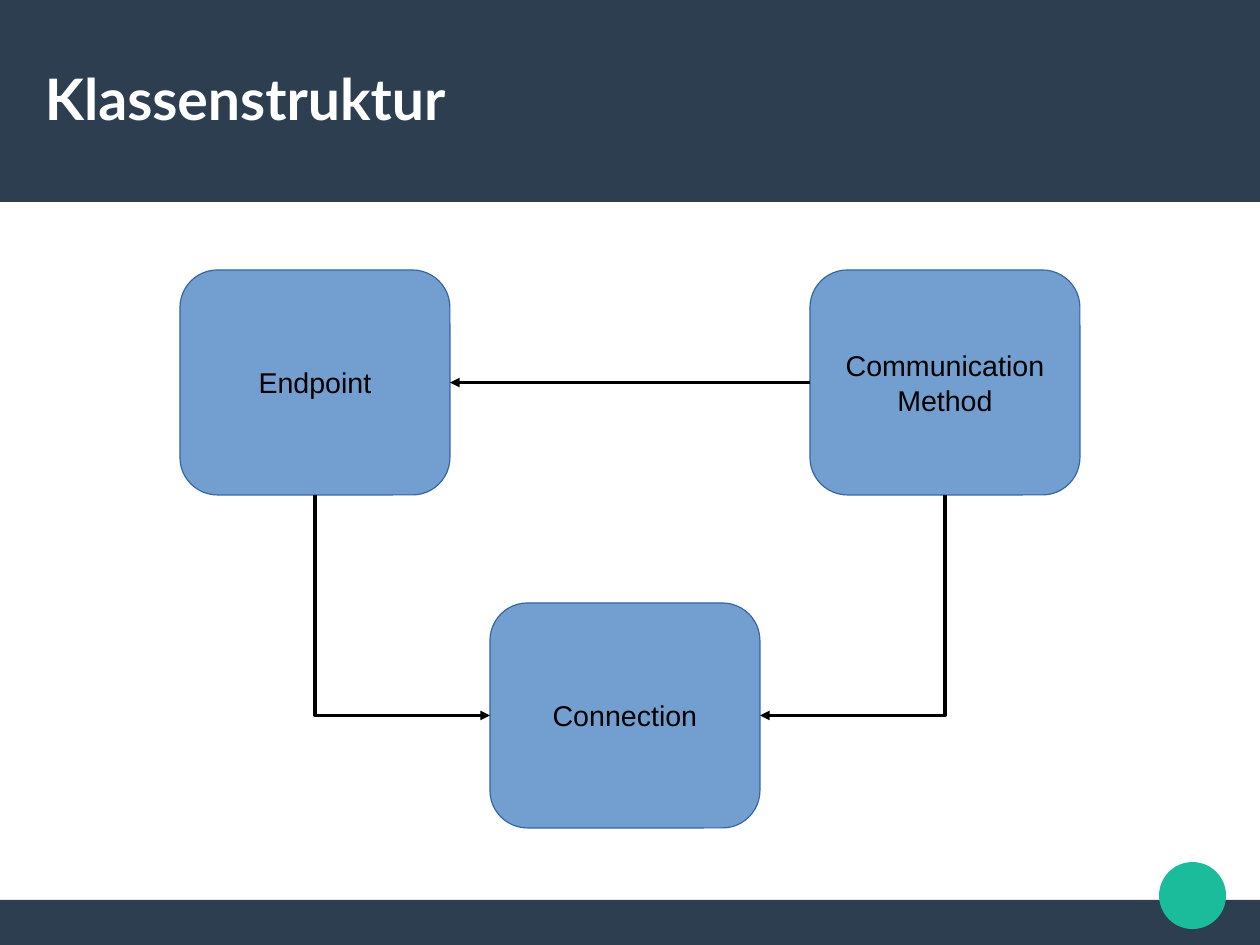
"""Build the "Klassenstruktur" slide: three classes and the arrows between them."""
from lxml import etree
from pptx import Presentation
from pptx.dml.color import RGBColor
from pptx.enum.shapes import MSO_CONNECTOR, MSO_SHAPE
from pptx.enum.text import MSO_ANCHOR, PP_ALIGN
from pptx.oxml.ns import qn
from pptx.util import Pt

RECTANGLE, OVAL = MSO_SHAPE.RECTANGLE, MSO_SHAPE.OVAL
CLASS_BOX = MSO_SHAPE.FLOWCHART_ALTERNATE_PROCESS
STRAIGHT, ELBOW = MSO_CONNECTOR.STRAIGHT, MSO_CONNECTOR.ELBOW
MIDDLE, CENTER = MSO_ANCHOR.MIDDLE, PP_ALIGN.CENTER
LEFT, BOTTOM, RIGHT = 1, 2, 3
PX = 8000
WIDTH, HEIGHT = 1260, 945
COLORS = {"navy": "2C3E50", "teal": "1ABC9C", "box": "729FCF",
          "border": "3465A4", "text": "000000", "title": "FFFFFF"}


def color(name):
    return RGBColor.from_string(COLORS[name])


def add_filled(kind, frame, fill):
    shape = slide.shapes.add_shape(kind, *(n * PX for n in frame))
    shape.shadow.inherit = False
    shape.fill.solid()
    shape.fill.fore_color.rgb = color(fill)
    shape.line.fill.background()
    return shape


prs = Presentation()
prs.slide_width, prs.slide_height = WIDTH * PX, HEIGHT * PX
slide = prs.slides.add_slide(prs.slide_layouts[6])

add_filled(RECTANGLE, (0, 900, WIDTH, 45), "navy")
add_filled(RECTANGLE, (0, 0, WIDTH, 202), "navy")
add_filled(OVAL, (1159, 862, 67, 67), "teal")

title = slide.shapes.add_textbox(*(n * PX for n in (45, 38, 1170, 120))).text_frame
title.word_wrap = True
title.vertical_anchor = MIDDLE
title.margin_left = title.margin_right = title.margin_top = title.margin_bottom = 0
heading = title.paragraphs[0]
heading.text = "Klassenstruktur"
heading.font.name, heading.font.size, heading.font.bold = "Lato", Pt(36), True
heading.font.color.rgb = color("title")

classes = {}
for label, left, top in (("Endpoint", 180, 270),
                         ("Connection", 490, 603),
                         ("Communication\nMethod", 810, 270)):
    box = add_filled(CLASS_BOX, (left, top, 270, 225), "box")
    box.line.color.rgb = color("border")
    box.line.width = 0
    box.text_frame.word_wrap = False
    box.text_frame.vertical_anchor = MIDDLE
    box.text_frame.text = label
    for paragraph in box.text_frame.paragraphs:
        paragraph.alignment = CENTER
        paragraph.font.name, paragraph.font.size = "Arial", Pt(18)
        paragraph.font.color.rgb = color("text")
    classes[label.split("\n")[0]] = box

for source, source_side, target, target_side, kind, turn in (
        ("Endpoint", BOTTOM, "Connection", LEFT, ELBOW, 270),
        ("Communication", BOTTOM, "Connection", RIGHT, ELBOW, 90),
        ("Communication", LEFT, "Endpoint", RIGHT, STRAIGHT, 0)):
    arrow = slide.shapes.add_connector(kind, 0, 0, 0, 0)
    arrow.begin_connect(classes[source], source_side)
    arrow.end_connect(classes[target], target_side)
    arrow.line.color.rgb = color("text")
    arrow.line.width = 0
    properties = arrow._element.spPr
    if turn:
        properties.find(qn("a:prstGeom")).set("prst", "bentConnector2")
        span, drop = arrow.width, arrow.height
        arrow.left += (span - drop) // 2
        arrow.top += (drop - span) // 2
        arrow.width, arrow.height = drop, span
        properties.xfrm.rot = turn
        properties.xfrm.flipH = turn == 270
    etree.SubElement(properties.find(qn("a:ln")), qn("a:tailEnd"), type="triangle")
    etree.SubElement(properties, qn("a:effectLst"))

prs.save("out.pptx")
